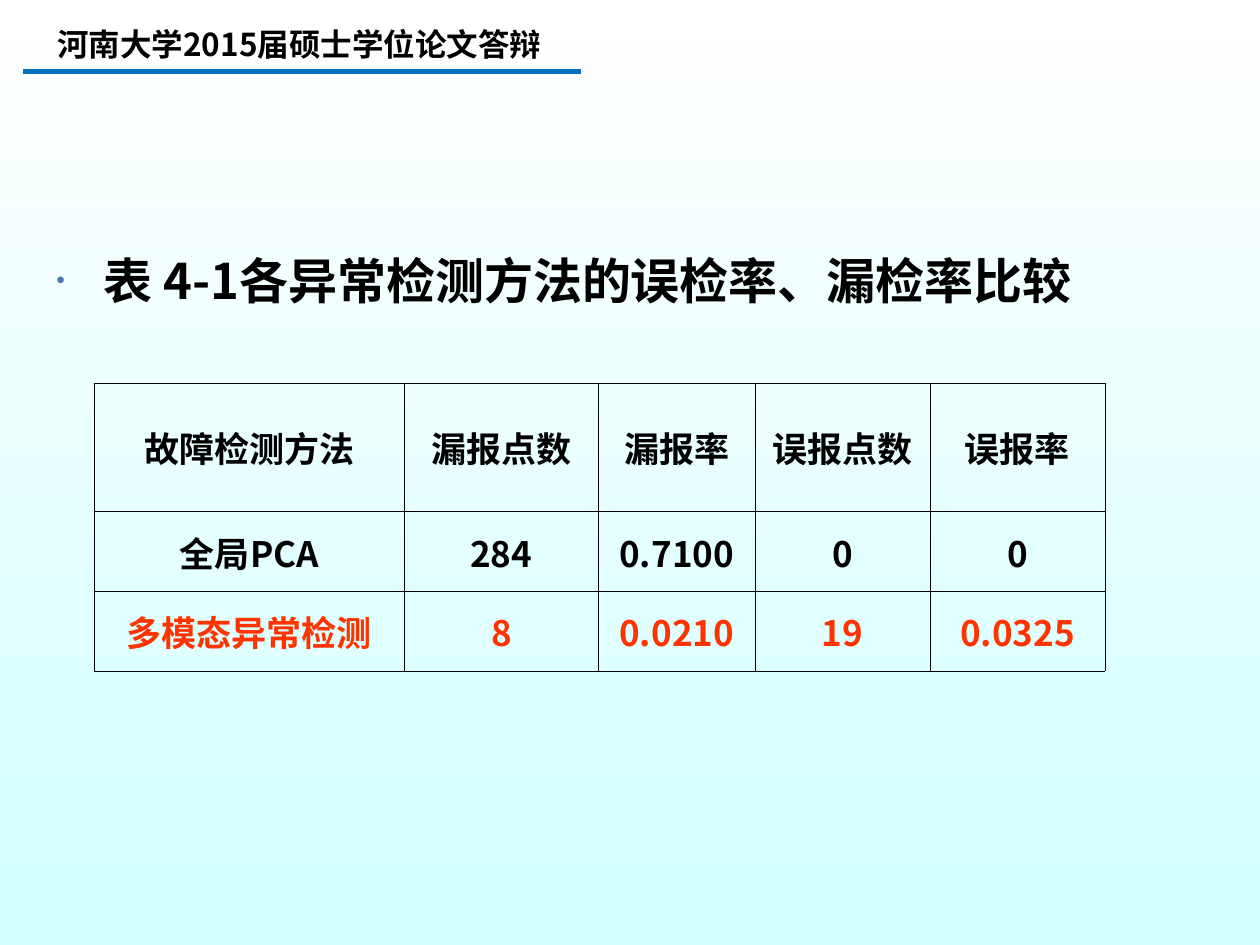
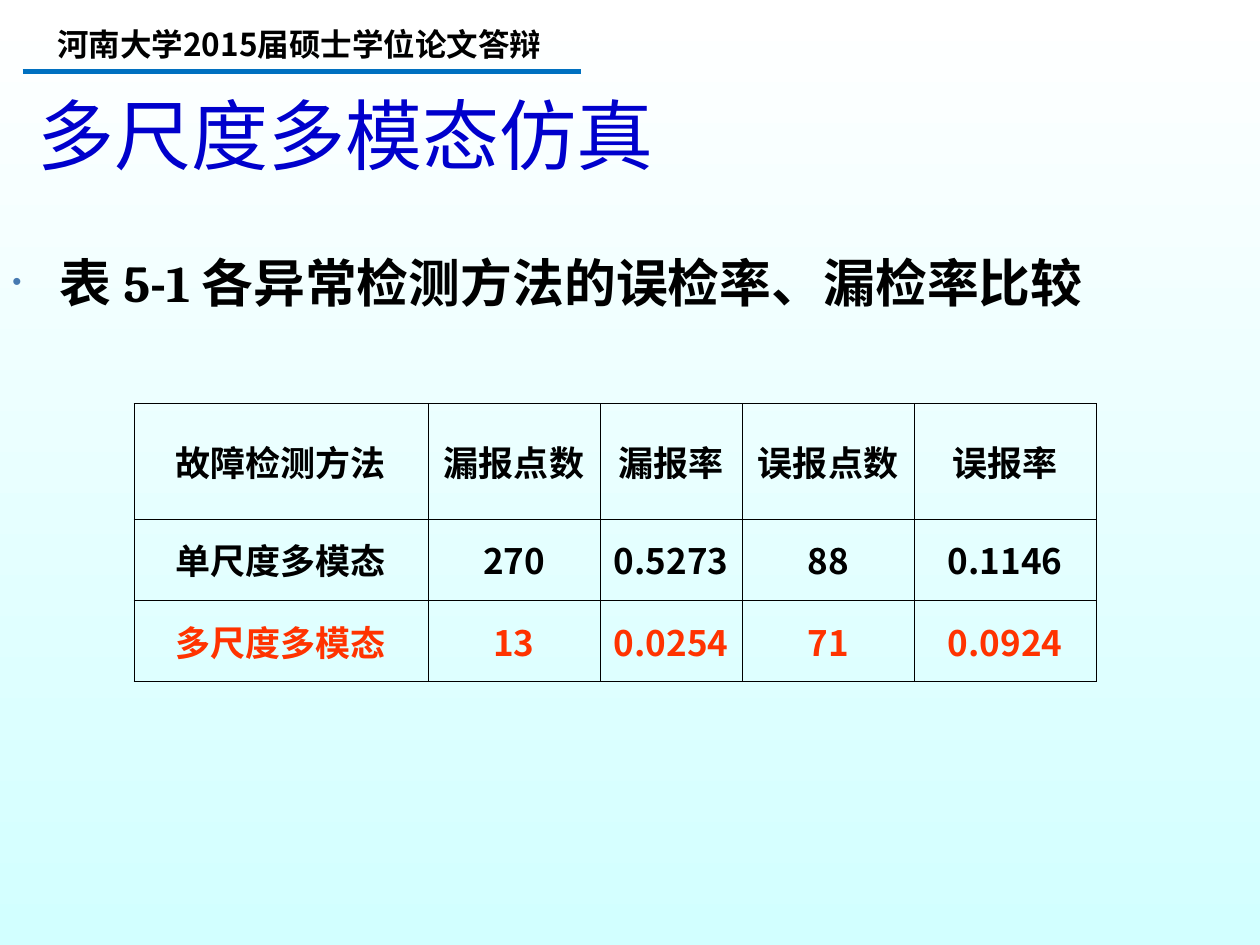
from lxml import etree
from pptx import Presentation
from pptx.dml.color import RGBColor
from pptx.enum.shapes import MSO_CONNECTOR
from pptx.enum.text import MSO_ANCHOR, PP_ALIGN
from pptx.oxml.ns import qn
from pptx.util import Pt

STRAIGHT = MSO_CONNECTOR.STRAIGHT
TOP, MIDDLE = MSO_ANCHOR.TOP, MSO_ANCHOR.MIDDLE
LEFT, CENTER = PP_ALIGN.LEFT, PP_ALIGN.CENTER

SLIDE_SIZE = (720, 540)
CJK_FONT = "Noto Sans CJK SC"
BLACK, HIGHLIGHT, TITLE_BLUE = "000000", "FF3300", "0000CC"
RULE_BLUE, BULLET_BLUE = "0070C0", "477AB1"
BACKGROUND = ("FFFFFF", "D2FFFF")
INSET_X, INSET_Y = 7.2, 3.6
BORDER_WIDTH = 0.45
CAPTION_INDENT = 27

HEADER_BOX = (19.5, 9.5, 303, 31.5)
HEADER_RULE = (13, 41, 332)
TITLE_BOX = (14.4, 43.2, 648, 67)
TABLE_HEADINGS = ("故障检测方法", "漏报点数", "漏报率", "误报点数", "误报率")

RESULTS = [
    {
        "title": None,
        "caption": "表 4-1各异常检测方法的误检率、漏检率比较",
        "caption_box": (25.2, 139.7, 648, 57),
        "caption_style": {"size": 28, "font": CJK_FONT},
        "space_before": 7,
        "table_origin": (54, 219),
        "columns": (177, 111, 89.5, 100, 100),
        "rows": (73.5, 45.5, 45.5),
        "baseline": ("全局PCA", "284", "0.7100", "0", "0"),
        "proposed": ("多模态异常检测", "8", "0.0210", "19", "0.0325"),
    },
    {
        "title": "多尺度多模态仿真",
        "caption": "表 5-1 各异常检测方法的误检率、漏检率比较",
        "caption_box": (0, 139.7, 689, 70),
        "caption_style": {"size": 29.6, "font": "Cambria"},
        "space_before": 8,
        "table_origin": (76.5, 230.5),
        "columns": (168, 98.5, 81, 98.5, 104),
        "rows": (66, 46.5, 46.5),
        "baseline": ("单尺度多模态", "270", "0.5273", "88", "0.1146"),
        "proposed": ("多尺度多模态", "13", "0.0254", "71", "0.0924"),
    },
]


def color(hex_code):
    return RGBColor.from_string(hex_code)


def add_xml(parent, tag, **attributes):
    return etree.SubElement(parent, qn(tag), attributes)


def add_run(paragraph, text, size, font=CJK_FONT, fill=BLACK, bold=True):
    run = paragraph.add_run()
    run.text = text
    run.font.size = Pt(size)
    run.font.bold = bold
    run.font.color.rgb = color(fill)
    run.font.name = font
    add_xml(run.font._element, "a:ea", typeface=CJK_FONT)


def add_text(slide, box, text, align=LEFT, anchor=MIDDLE, **style):
    frame = slide.shapes.add_textbox(*map(Pt, box)).text_frame
    frame.word_wrap = True
    frame.vertical_anchor = anchor
    frame.margin_left = frame.margin_right = Pt(INSET_X)
    frame.margin_top = frame.margin_bottom = Pt(INSET_Y)
    paragraph = frame.paragraphs[0]
    paragraph.alignment = align
    add_run(paragraph, text, **style)
    return paragraph


def paint_background(slide):
    fill = slide.background.fill
    fill.gradient()
    fill.gradient_angle = 270
    for stop, position, shade in zip(fill.gradient_stops, (0, 1), BACKGROUND):
        stop.position = position
        stop.color.rgb = color(shade)


def add_header(slide):
    left, y, right = map(Pt, HEADER_RULE)
    rule = slide.shapes.add_connector(STRAIGHT, left, y, right, y)
    rule.line.color.rgb = color(RULE_BLUE)
    rule.line.width = Pt(3)
    add_xml(rule._element.spPr, "a:effectLst")
    add_text(slide, HEADER_BOX, "河南大学2015届硕士学位论文答辩", align=CENTER, size=18)


def add_caption(slide, box, text, space_before, style):
    caption = add_text(slide, box, text, anchor=TOP, **style)
    caption.space_before = Pt(space_before)
    properties = caption._p.get_or_add_pPr()
    properties.set("marL", str(Pt(CAPTION_INDENT)))
    properties.set("indent", str(-Pt(CAPTION_INDENT)))
    add_xml(add_xml(properties, "a:buClr"), "a:srgbClr", val=BULLET_BLUE)
    add_xml(properties, "a:buSzPct", val="50000")
    add_xml(properties, "a:buFont", typeface="Arial")
    add_xml(properties, "a:buChar", char="•")


def style_cell(cell, text, fill):
    cell.vertical_anchor = MIDDLE
    cell.margin_left = cell.margin_right = Pt(INSET_X)
    cell.margin_top = cell.margin_bottom = Pt(INSET_Y)
    properties = cell._tc.get_or_add_tcPr()
    for side in ("a:lnL", "a:lnR", "a:lnT", "a:lnB"):
        border = add_xml(properties, side, w=str(Pt(BORDER_WIDTH)))
        add_xml(add_xml(border, "a:solidFill"), "a:srgbClr", val=BLACK)
    cell.fill.background()
    paragraph = cell.text_frame.paragraphs[0]
    paragraph.alignment = CENTER
    add_run(paragraph, text, size=20, fill=fill)


def add_comparison(slide, origin, columns, rows, baseline, proposed):
    """Compare two methods, with the proposed one highlighted in the last row."""
    size = (sum(columns), sum(rows))
    table = slide.shapes.add_table(
        len(rows), len(columns), *map(Pt, origin + size)).table
    table.first_row = table.horz_banding = False
    for column, width in zip(table.columns, columns):
        column.width = Pt(width)
    contents = ((TABLE_HEADINGS, BLACK), (baseline, BLACK), (proposed, HIGHLIGHT))
    for row, height, (values, fill) in zip(table.rows, rows, contents):
        row.height = Pt(height)
        for cell, value in zip(row.cells, values):
            style_cell(cell, value, fill)


def add_result_slide(presentation, result):
    slide = presentation.slides.add_slide(presentation.slide_layouts[6])
    paint_background(slide)
    add_header(slide)
    if result["title"]:
        add_text(slide, TITLE_BOX, result["title"], size=44, font="Calibri",
                 fill=TITLE_BLUE, bold=False)
    add_caption(slide, result["caption_box"], result["caption"],
                result["space_before"], result["caption_style"])
    add_comparison(slide, result["table_origin"], result["columns"],
                   result["rows"], result["baseline"], result["proposed"])


def main():
    presentation = Presentation()
    presentation.slide_width, presentation.slide_height = map(Pt, SLIDE_SIZE)
    for result in RESULTS:
        add_result_slide(presentation, result)
    presentation.save("out.pptx")


if __name__ == "__main__":
    main()
